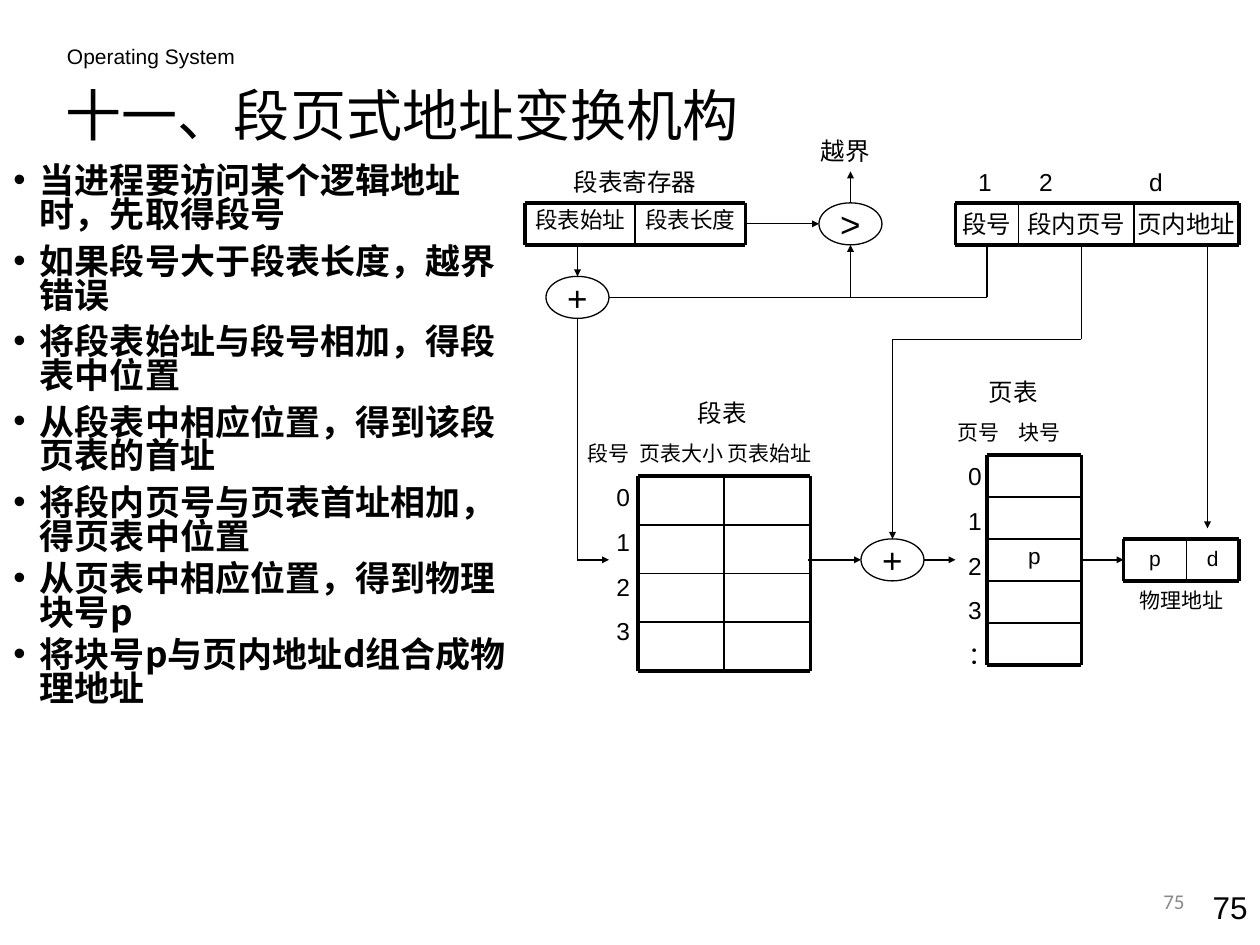
"""Build the slide on segmented-paging address translation."""
from dataclasses import dataclass
from itertools import accumulate, pairwise
from typing import NamedTuple

from lxml.etree import SubElement as Sub
from pptx import Presentation
from pptx.dml.color import RGBColor as RGB
from pptx.enum.shapes import MSO_CONNECTOR as Link, MSO_SHAPE as Form
from pptx.enum.text import MSO_ANCHOR as Anchor, PP_ALIGN as Align
from pptx.oxml.ns import qn
from pptx.util import Inches, Pt


@dataclass(frozen=True)
class Theme:
    ink: str = "000000"
    gray: str = "898989"
    latin: str = "Arial"
    foot: str = "Calibri"
    han: str = "Noto Sans CJK SC"
    title: float = 32
    body: float = 20
    page: float = 18
    label: float = 14
    cell: float = 12.9
    small: float = 12
    thin: float = 0.75
    inner: float = 1
    outer: float = 2.25


class Box(NamedTuple):
    col: float
    row: float
    wide: float
    high: float


class Label(NamedTuple):
    text: str
    box: Box
    size: float


class Grid(NamedTuple):
    col: float
    row: float
    cols: list[float]
    rows: list[float]
    cells: list[str]
    size: float
    lead: float = 1.0


class Wire(NamedTuple):
    points: list[tuple[float, float]]
    arrow: bool = True


T = Theme()
LEFT, MID, RIGHT = Align.LEFT, Align.CENTER, Align.RIGHT
UNIT = 1 / 12
TOP = 1.61

POINTS = [
    "当进程要访问某个逻辑地址时，先取得段号",
    "如果段号大于段表长度，越界错误",
    "将段表始址与段号相加，得段表中位置",
    "从段表中相应位置，得到该段页表的首址",
    "将段内页号与页表首址相加，得页表中位置",
    "从页表中相应位置，得到物理块号p",
    "将块号p与页内地址d组合成物理地址",
]
GRIDS = [
    Grid(50, 0, [10.5, 10.5], [4], ["段表始址", "段表长度"], T.cell, 0.9),
    Grid(91, 0, [6, 11, 10], [4], ["段号", "段内页号", "页内地址"], T.label),
    Grid(60.75, 26, [8.22] * 2, [4.65] * 4, [""] * 8, T.label),
    Grid(94, 24, [9], [4] * 5, ["", "", "p", "", ""], T.cell, 0.9),
    Grid(107, 32, [6, 5], [4], ["p", "d"], T.small),
]
LABELS = [
    Label("段表寄存器", Box(50, -4, 21, 4), T.label),
    Label("越界", Box(76, -7, 9, 4), T.label),
    Label("1", Box(91.8, -4, 4, 4), T.label),
    Label("2", Box(97.6, -4, 4, 4), T.label),
    Label("d", Box(108.1, -4, 4, 4), T.label),
    Label("段表", Box(63.8, 18, 10, 4), T.label),
    Label("段号", Box(55.1, 22, 5.7, 4), T.small),
    Label("页表大小", Box(60.6, 22, 8.7, 4), T.small),
    Label("页表始址", Box(68.9, 22, 8.7, 4), T.small),
    Label("页表", Box(92, 16, 9, 4), T.label),
    Label("页号", Box(90.1, 20, 6.2, 4), T.small),
    Label("块号", Box(96, 20, 6, 4), T.small),
    Label("物理地址", Box(107, 36, 11, 4), T.small),
]
NODES = [(">", 78, 0), ("+", 52, 7), ("+", 82, 32)]
WIRES = [
    Wire([(71, 2), (78, 2)]),
    Wire([(81, 0), (81, -3)]),
    Wire([(81, 9), (81, 4)]),
    Wire([(94, 4), (94, 9), (81, 9), (58, 9)], False),
    Wire([(55, 4), (55, 7)]),
    Wire([(55, 11), (55, 34), (58, 34)]),
    Wire([(103, 4), (103, 13), (85, 13), (85, 32)]),
    Wire([(77, 34), (82, 34)]),
    Wire([(88, 34), (91, 34)]),
    Wire([(103, 34), (107, 34)]),
    Wire([(115, 4), (115, 31)]),
]


def across(col: float) -> int:
    return Inches(col * UNIT)


def down(row: float) -> int:
    return Inches(TOP + row * UNIT)


def place(box: Box) -> tuple[int, int, int, int]:
    return across(box.col), down(box.row), across(box.wide), across(box.high)


def write(frame, *lines: str, size: float, font: str = T.latin, color: str = T.ink,
          bold: bool = False, align=MID, anchor=Anchor.TOP, lead: float = 1.0,
          gaps: tuple = (), pad: tuple = (0, 3.6), bullet: str = "") -> None:
    frame.word_wrap, frame.vertical_anchor = True, anchor
    frame.margin_left = frame.margin_right = Pt(pad[0])
    frame.margin_top = frame.margin_bottom = Pt(pad[1])
    for num, line in enumerate(lines):
        para = frame.add_paragraph() if num else frame.paragraphs[0]
        para.alignment, para.line_spacing = align, lead
        if num and gaps:
            para.space_before = Pt(gaps[min(num, len(gaps)) - 1])
        if bullet:
            props = para._p.get_or_add_pPr()
            props.set("marL", str(Inches(0.21)))
            props.set("indent", str(-Inches(0.21)))
            props.set("hangingPunct", "0")
            Sub(props, qn("a:buFont"), typeface=T.latin)
            Sub(props, qn("a:buChar"), char=bullet)
        run = para.add_run()
        run.text = line
        run.font.size, run.font.bold, run.font.name = Pt(size), bold, font
        run.font.color.rgb = RGB.from_string(color)
        Sub(run._r.get_or_add_rPr(), qn("a:ea"), typeface=T.han)


def label(slide, box: Box, *lines: str, **form) -> None:
    write(slide.shapes.add_textbox(*place(box)).text_frame, *lines, **form)


def stroke(slide, start: tuple, end: tuple, width: float, arrow: bool = False) -> None:
    line = slide.shapes.add_connector(
        Link.STRAIGHT, across(start[0]), down(start[1]), across(end[0]), down(end[1]))
    line.line.color.rgb, line.line.width = RGB.from_string(T.ink), Pt(width)
    if arrow:
        Sub(line.line._get_or_add_ln(), qn("a:tailEnd"), type="triangle", w="sm", len="sm")
    Sub(line._element.spPr, qn("a:effectLst"))


def draw_grid(slide, grid: Grid) -> None:
    xs = list(accumulate(grid.cols, initial=grid.col))
    ys = list(accumulate(grid.rows, initial=grid.row))
    for num, text in enumerate(grid.cells):
        r, c = divmod(num, len(grid.cols))
        if text:
            label(slide, Box(xs[c], ys[r], grid.cols[c], grid.rows[r]), text,
                  size=grid.size, lead=grid.lead)
    for y in ys:
        stroke(slide, (xs[0], y), (xs[-1], y), T.outer if y in (ys[0], ys[-1]) else T.inner)
    for x in xs:
        stroke(slide, (x, ys[0]), (x, ys[-1]), T.outer if x in (xs[0], xs[-1]) else T.inner)


def draw_node(slide, sign: str, col: float, row: float) -> None:
    node = slide.shapes.add_shape(Form.OVAL, *place(Box(col, row, 6, 4)))
    node.shadow.inherit = False
    node.fill.background()
    node.line.color.rgb, node.line.width = RGB.from_string(T.ink), Pt(T.thin)
    write(node.text_frame, sign, size=T.body, anchor=Anchor.MIDDLE, pad=(0, 0))


def draw_wire(slide, wire: Wire) -> None:
    for start, end in pairwise(wire.points):
        stroke(slide, start, end, T.thin, wire.arrow and end == wire.points[-1])


def main() -> None:
    deck = Presentation()
    deck.slide_width, deck.slide_height = Inches(10), Inches(7.5)
    slide = deck.slides.add_slide(deck.slide_layouts[6])
    wide = (7.2, 3.6)
    label(slide, Box(5.2, -15.8, 49, 3.6), "Operating System", size=T.small, align=LEFT, pad=wide)
    label(slide, Box(5.1, -13, 76, 9), "十一、段页式地址变换机构", size=T.title, font=T.han,
          align=LEFT, anchor=Anchor.MIDDLE, pad=wide)
    label(slide, Box(0.1, -4, 50, 57), *POINTS, size=T.body, font=T.han, bold=True, align=LEFT,
          lead=0.8, gaps=(7.5, 7.5, 7.5, 7.5, 5), pad=wide, bullet="•")
    for grid in GRIDS:
        draw_grid(slide, grid)
    for item in LABELS:
        label(slide, item.box, item.text, size=item.size)
    label(slide, Box(56.6, 26, 3.4, 17), *"0123", size=T.label, align=RIGHT, gaps=(8.8,))
    label(slide, Box(92.2, 24, 3, 21), *"0123：", size=T.label, align=LEFT, gaps=(8.8,))
    for node in NODES:
        draw_node(slide, *node)
    for wire in WIRES:
        draw_wire(slide, wire)
    label(slide, Box(112, 64.7, 8, 4.8), "75", size=T.page, align=RIGHT, pad=wide)
    label(slide, Box(86, 64.1, 28, 4.8), "75", size=T.small, font=T.foot, color=T.gray,
          align=RIGHT, anchor=Anchor.MIDDLE, pad=wide)
    deck.save("out.pptx")


if __name__ == "__main__":
    main()
